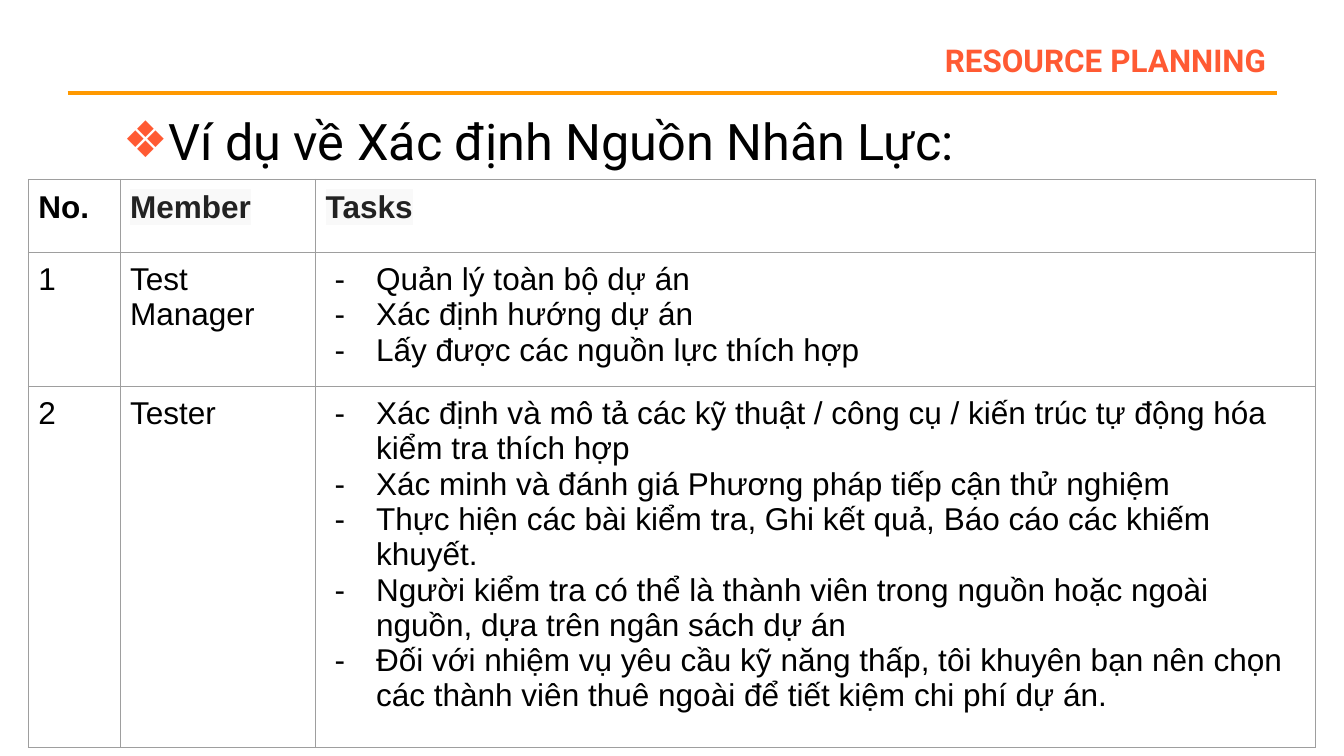
from dataclasses import dataclass

from lxml.etree import SubElement
from pptx import Presentation
from pptx.dml.color import RGBColor
from pptx.enum.shapes import MSO_CONNECTOR
from pptx.enum.text import MSO_ANCHOR, MSO_AUTO_SIZE, PP_ALIGN
from pptx.oxml import parse_xml
from pptx.oxml.ns import nsdecls, qn
from pptx.util import Inches, Pt

TITLE = "resource planning"
HEADING = "Ví dụ về Xác định Nguồn Nhân Lực:"
HEADERS = ("No.", "Member", "Tasks")
ROLES = [
    ("Test Manager", [
        "Quản lý toàn bộ dự án",
        "Xác định hướng dự án",
        "Lấy được các nguồn lực thích hợp",
    ]),
    ("Tester", [
        "Xác định và mô tả các kỹ thuật / công cụ / kiến trúc tự động hóa kiểm tra thích hợp",
        "Xác minh và đánh giá Phương pháp tiếp cận thử nghiệm",
        "Thực hiện các bài kiểm tra, Ghi kết quả, Báo cáo các khiếm khuyết.",
        "Người kiểm tra có thể là thành viên trong nguồn hoặc ngoài nguồn, "
        "dựa trên ngân sách dự án",
        "Đối với nhiệm vụ yêu cầu kỹ năng thấp, tôi khuyên bạn nên chọn "
        "các thành viên thuê ngoài để tiết kiệm chi phí dự án.",
    ]),
]

SLIDE_SIZE = (13.33, 7.5)
TITLE_BOX = (2.44, 0.3, 10.22, 0.53)
BODY_BOX = (0.71, 1.04, 12.42, 6.3)
RULE_LEFT, RULE_RIGHT, RULE_TOP = 0.67, 12.67, 0.92
TABLE_LEFT, TABLE_TOP = 0.28, 1.78
COLUMNS = (0.91, 1.94, 9.92)
ROWS = (0.72, 1.33, 3.59)
CELL_MARGIN = 0.1


@dataclass(frozen=True)
class Theme:
    accent: str = "FF5A33"
    rule: str = "FF9900"
    text: str = "000000"
    header: str = "222222"
    highlight: str = "F9F9F9"
    border: str = "9E9E9E"
    title_font: str = "Roboto"
    table_font: str = "Arial"
    title_size: float = 28
    heading_size: float = 36
    table_size: float = 22.5
    rule_width: float = 3
    border_width: float = 0.75


THEME = Theme()


def style_text(paragraph, font_name, size, color, bold=False):
    for run in paragraph.runs:
        font = run.font
        font.name, font.size, font.bold = font_name, Pt(size), bold
        font.color.rgb = RGBColor.from_string(color)


def add_bullet(paragraph, character, color, left, hanging):
    properties = paragraph._p.get_or_add_pPr()
    properties.set("marL", str(Inches(left)))
    properties.set("indent", str(-Inches(hanging)))
    bullet_color = SubElement(properties, qn("a:buClr"))
    SubElement(bullet_color, qn("a:srgbClr")).set("val", color)
    SubElement(properties, qn("a:buFont")).set("typeface", THEME.table_font)
    SubElement(properties, qn("a:buChar")).set("char", character)


def highlight(run, color):
    fill = run._r.get_or_add_rPr().find(qn("a:solidFill"))
    fill.addnext(parse_xml(
        f'<a:highlight {nsdecls("a")}><a:srgbClr val="{color}"/></a:highlight>'))


def place(shape, box):
    shape.left, shape.top, shape.width, shape.height = map(Inches, box)
    shape.text_frame.auto_size = MSO_AUTO_SIZE.NONE
    shape.text_frame.word_wrap = True


def add_title(slide):
    title = slide.shapes.title
    place(title, TITLE_BOX)
    title.text_frame.text = TITLE
    title.text_frame.vertical_anchor = MSO_ANCHOR.MIDDLE
    paragraph = title.text_frame.paragraphs[0]
    paragraph.alignment = PP_ALIGN.RIGHT
    style_text(paragraph, THEME.title_font, THEME.title_size, THEME.accent, True)
    paragraph.runs[0]._r.get_or_add_rPr().set("cap", "small")


def add_heading(slide):
    body = slide.placeholders[1]
    place(body, BODY_BOX)
    body.text_frame.text = HEADING
    paragraph = body.text_frame.paragraphs[0]
    paragraph.level = 1
    paragraph.space_before = Pt(0)
    add_bullet(paragraph, "❖", THEME.accent, 0.81, 0.4)
    style_text(paragraph, THEME.title_font, THEME.heading_size, THEME.text)


def add_rule(slide):
    rule = slide.shapes.add_connector(
        MSO_CONNECTOR.STRAIGHT, Inches(RULE_LEFT), Inches(RULE_TOP),
        Inches(RULE_RIGHT), Inches(RULE_TOP))
    rule.line.color.rgb = RGBColor.from_string(THEME.rule)
    rule.line.width = Pt(THEME.rule_width)
    SubElement(rule._element.spPr, qn("a:effectLst"))


def format_cell(cell):
    cell.margin_left = cell.margin_right = Inches(CELL_MARGIN)
    cell.margin_top = cell.margin_bottom = Inches(CELL_MARGIN)
    cell.fill.background()
    properties = cell._tc.get_or_add_tcPr()
    for index, side in enumerate(("lnL", "lnR", "lnT", "lnB")):
        properties.insert(index, parse_xml(
            f'<a:{side} {nsdecls("a")} w="{Pt(THEME.border_width)}"><a:solidFill>'
            f'<a:srgbClr val="{THEME.border}"/></a:solidFill></a:{side}>'))


def add_role_table(slide):
    table = slide.shapes.add_table(
        len(ROWS), len(COLUMNS), Inches(TABLE_LEFT), Inches(TABLE_TOP),
        Inches(sum(COLUMNS)), Inches(sum(ROWS))).table
    table.first_row = table.horz_banding = False
    for column, width in zip(table.columns, COLUMNS):
        column.width = Inches(width)
    for row, height in zip(table.rows, ROWS):
        row.height = Inches(height)

    contents = [HEADERS] + [
        (str(number), member, "\n".join(tasks))
        for number, (member, tasks) in enumerate(ROLES, start=1)]
    for row_index, values in enumerate(contents):
        for column_index, value in enumerate(values):
            cell = table.cell(row_index, column_index)
            format_cell(cell)
            cell.text_frame.text = value
            is_header = row_index == 0
            is_shaded = is_header and column_index > 0
            color = THEME.header if is_shaded else THEME.text
            for paragraph in cell.text_frame.paragraphs:
                if column_index == 2 and not is_header:
                    add_bullet(paragraph, "-", THEME.text, 0.5, 0.41)
                style_text(paragraph, THEME.table_font, THEME.table_size, color, is_header)
                if is_shaded:
                    highlight(paragraph.runs[0], THEME.highlight)


def main():
    presentation = Presentation()
    presentation.slide_width, presentation.slide_height = map(Inches, SLIDE_SIZE)
    slide = presentation.slides.add_slide(presentation.slide_layouts[1])
    add_rule(slide)
    add_title(slide)
    add_heading(slide)
    add_role_table(slide)
    presentation.save("out.pptx")


if __name__ == "__main__":
    main()
